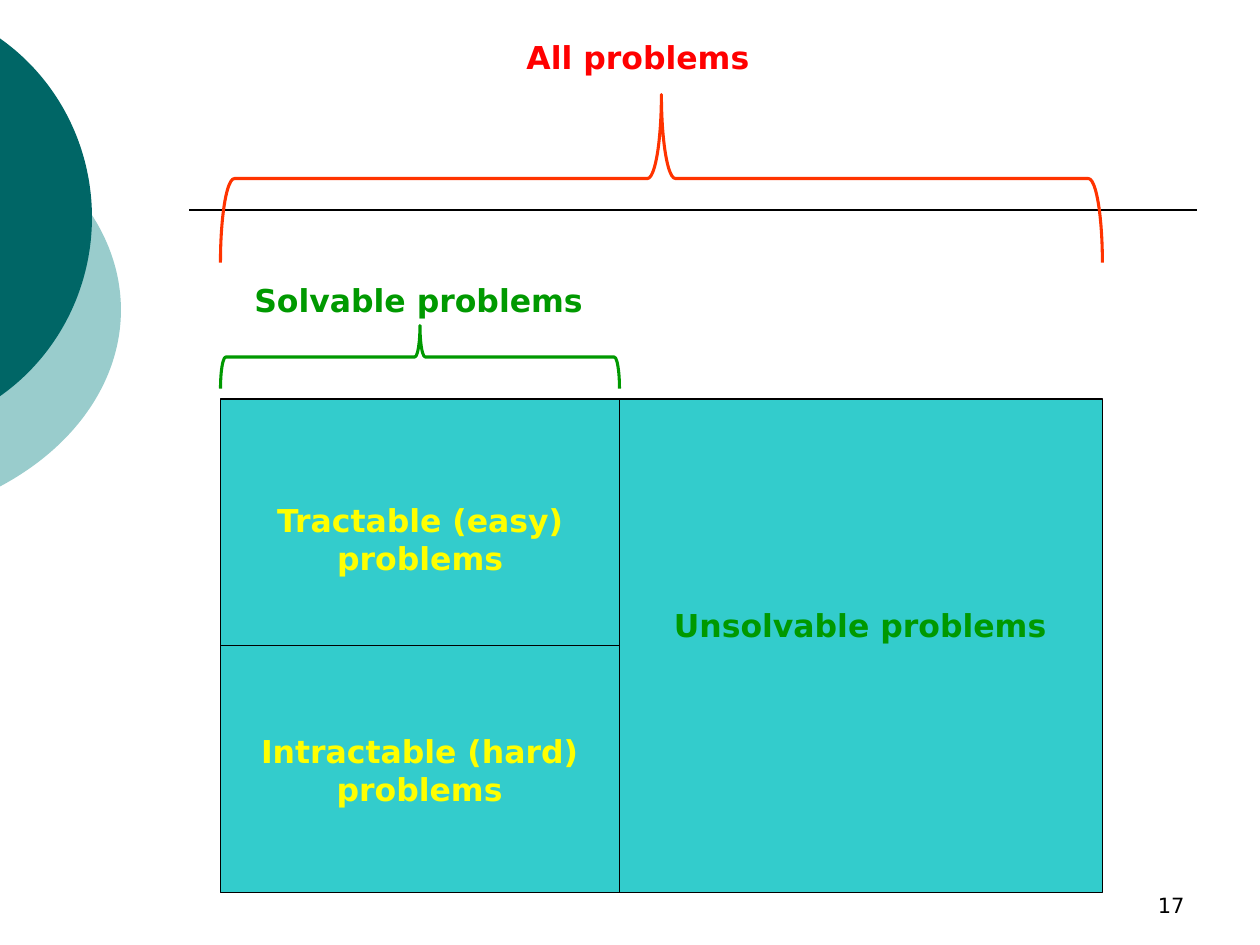
from pptx import Presentation
from pptx import util as u
from pptx.dml.color import RGBColor
from pptx.enum import shapes, text
from pptx.oxml.ns import qn
from lxml import etree

BLACK, GREEN, YELLOW = "000000", "009900", "FFFF00"
GRID = 1 / 12
LEFT, TOP, WIDTH, HEIGHT = 21 * GRID, 38 * GRID, 84 * GRID, 47 * GRID
SPLIT, MIDDLE = 59 * GRID, TOP + HEIGHT / 2


def color(value):
    return RGBColor.from_string(value)


def write(frame, content, size=18, fill=BLACK, bold=True, align=text.PP_ALIGN.LEFT):
    paragraph = frame.paragraphs[0]
    paragraph.alignment = align
    run = paragraph.add_run()
    run.text = content
    run.font.name = "DejaVu Sans"
    run.font.size = u.Pt(size)
    run.font.bold = bold
    run.font.color.rgb = color(fill)


class Diagram:
    def __init__(self, slide):
        self.slide = slide

    def shape(self, kind, left, top, width, height, fill=None, line=None, weight=0.75):
        shape = self.slide.shapes.add_shape(kind, *map(u.Inches, (left, top, width, height)))
        shape.shadow.inherit = False
        if fill:
            shape.fill.solid()
            shape.fill.fore_color.rgb = color(fill)
        else:
            shape.fill.background()
        if line:
            shape.line.color.rgb = color(line)
            shape.line.width = u.Pt(weight)
        else:
            shape.line.fill.background()
        return shape

    def disc(self, left, top, width, height, fill):
        return self.shape(shapes.MSO_SHAPE.OVAL, left, top, width, height, fill)

    def box(self, left, top, width, height, fill):
        return self.shape(shapes.MSO_SHAPE.RECTANGLE, left, top, width, height, fill, BLACK)

    def brace(self, left, top, width, height, line):
        turned_left = left + (width - height) / 2
        turned_top = top + (height - width) / 2
        shape = self.shape(shapes.MSO_SHAPE.RIGHT_BRACE, turned_left, turned_top,
                           height, width, line=line, weight=1.75)
        shape.rotation = 270
        return shape

    def line(self, x1, y1, x2, y2, weight=0.75):
        connector = self.slide.shapes.add_connector(
            shapes.MSO_CONNECTOR.STRAIGHT, *map(u.Inches, (x1, y1, x2, y2)))
        connector.line.color.rgb = color(BLACK)
        connector.line.width = u.Pt(weight)
        etree.SubElement(connector._element.spPr, qn("a:effectLst"))
        return connector

    def label(self, content, left, top, width, height=0.4, anchor=text.MSO_ANCHOR.TOP, **style):
        shape = self.slide.shapes.add_textbox(*map(u.Inches, (left, top, width, height)))
        shape.text_frame.word_wrap = True
        shape.text_frame.vertical_anchor = anchor
        write(shape.text_frame, content, **style)
        return shape


def main():
    presentation = Presentation()
    presentation.slide_width, presentation.slide_height = u.Inches(10), u.Inches(7.5)
    diagram = Diagram(presentation.slides.add_slide(presentation.slide_layouts[6]))

    diagram.disc(-3.54, 0.75, 4.5, 3.42, "99CCCC")
    diagram.disc(-2.65, 0, 3.38, 3.45, "006666")
    rule_top = 20 * GRID
    diagram.line(1.5, rule_top, 9.5, rule_top, weight=1)
    diagram.label("17", 7.17, 6.83, 2.33, 0.5, anchor=text.MSO_ANCHOR.BOTTOM,
                  size=12, bold=False, align=text.PP_ALIGN.RIGHT)

    all_problems = diagram.box(LEFT, TOP, WIDTH, HEIGHT, "33CCCC")
    diagram.brace(LEFT, 9 * GRID, WIDTH, 16 * GRID, "FF3300")
    diagram.label("All problems", 4.08, 0.25, 2.58, fill="FF0000")
    diagram.line(SPLIT, TOP, SPLIT, TOP + HEIGHT)
    diagram.label("Solvable problems", 1.92, 2.18, 3.17, fill=GREEN)
    diagram.brace(LEFT, 31 * GRID, SPLIT - LEFT, 6 * GRID, GREEN)
    diagram.label("Unsolvable problems", 5.25, 4.76, 3.17, fill=GREEN)
    divider = diagram.line(LEFT, MIDDLE, SPLIT, MIDDLE)
    divider.begin_connect(all_problems, 1)

    centered = {"fill": YELLOW, "align": text.PP_ALIGN.CENTER}
    diagram.label("Tractable (easy) problems", LEFT, 3.93, 3.17, 0.71, **centered)
    diagram.label("Intractable (hard) problems", 1.67, 5.76, 3.32, 0.71, **centered)

    presentation.save("out.pptx")


if __name__ == "__main__":
    main()
